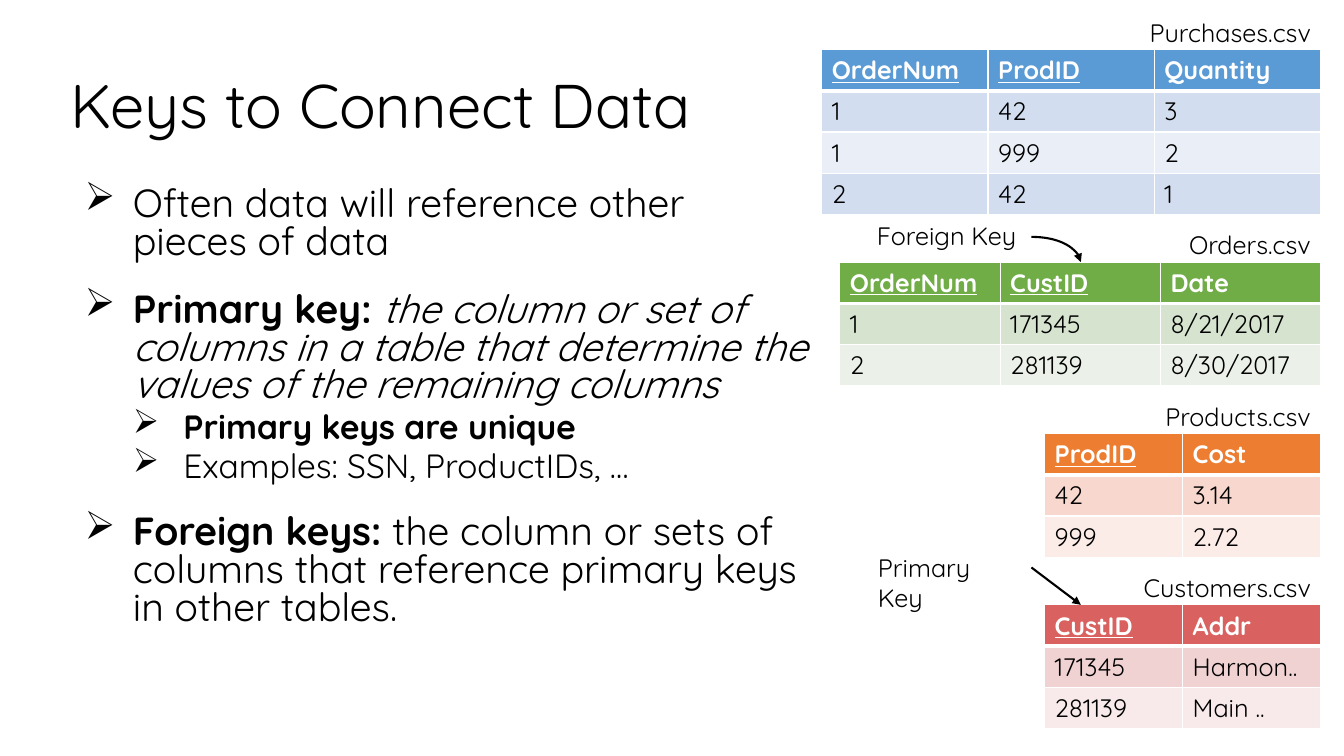
from dataclasses import dataclass

from lxml.etree import SubElement
from pptx import Presentation
from pptx.dml.color import RGBColor
from pptx.enum.shapes import MSO_CONNECTOR as CONN
from pptx.enum.text import MSO_ANCHOR as ANCHOR, PP_ALIGN as ALIGN
from pptx.oxml import parse_xml
from pptx.oxml.ns import nsdecls, qn
from pptx.util import Inches, Pt


@dataclass(frozen=True)
class Theme:
    font: str = "Quicksand"
    ink: str = "000000"
    paper: str = "FFFFFF"
    # header, odd row, even row
    blue: tuple = ("5B9BD5", "D2DEEF", "EAEFF7")
    green: tuple = ("70AD47", "D5E3CF", "EBF1E9")
    orange: tuple = ("ED7D31", "F8D7CE", "FCECE8")
    red: tuple = ("D9615F", "F1D2D2", "F8EAEA")
    title: int = 44
    body: int = 28
    sub: int = 24
    small: int = 18


THEME = Theme()
RIGHT_EDGE = 13.1
ROW_HEIGHT = 0.41
LABEL_WIDTH = 2.2


def add_run(p, text, size=THEME.small, color=THEME.ink, bold=False,
            italic=False, underline=False):
    r = p.add_run()
    r.text = text
    f = r.font
    f.name, f.size = THEME.font, Pt(size)
    f.bold, f.italic, f.underline = bold, italic, underline
    f.color.rgb = RGBColor.from_string(color)


def add_box(s, left, top, width, height=0.4):
    tf = s.shapes.add_textbox(Inches(left), Inches(top), Inches(width),
                              Inches(height)).text_frame
    tf.word_wrap = True
    return tf


def add_label(s, text, left, top, width, align=ALIGN.LEFT):
    p = add_box(s, left, top, width).paragraphs[0]
    p.alignment = align
    add_run(p, text)


def add_title(s, text):
    sp = s.shapes.title
    sp.left, sp.top = Inches(0.6), Inches(0.35)
    sp.width, sp.height = Inches(11.81), Inches(1.45)
    tf = sp.text_frame
    tf.vertical_anchor = ANCHOR.MIDDLE
    p = tf.paragraphs[0]
    p.alignment, p.line_spacing = ALIGN.LEFT, 0.9
    add_run(p, text, size=THEME.title)


def set_bullet(p, margin, indent):
    pPr = p._p.get_or_add_pPr()
    pPr.set("marL", str(Inches(margin)))
    pPr.set("indent", str(Inches(indent)))
    color = SubElement(pPr, qn("a:buClr"))
    SubElement(color, qn("a:srgbClr")).set("val", THEME.ink)
    SubElement(pPr, qn("a:buChar")).set("char", "➢")


def add_bullets(s, items):
    """Each item is a level and a list of (text, run format) pairs."""
    tf = add_box(s, 0.72, 1.81, 7.4, 5.09)
    for i, (level, runs) in enumerate(items):
        p = tf.add_paragraph() if i else tf.paragraphs[0]
        p.level, p.line_spacing = level, 0.8
        if i:
            p.space_before = Pt(5 if level else 22)
        set_bullet(p, *((1, -0.5) if level else (0.5, -0.48)))
        for text, style in runs:
            add_run(p, text, size=THEME.sub if level else THEME.body, **style)


def set_borders(cell, **widths):
    tcPr = cell._tc.get_or_add_tcPr()
    for i, side in enumerate("LRTB"):
        width = Pt(widths.get(side, 1))
        tcPr.insert(i, parse_xml(
            f'<a:ln{side} {nsdecls("a")} w="{width}"><a:solidFill>'
            f'<a:srgbClr val="{THEME.paper}"/></a:solidFill></a:ln{side}>'))


def add_data_table(s, name, top, col_width, colors, keys, rows):
    """Table flush with the right edge, its file name above it."""
    cols = len(rows[0])
    width = cols * col_width
    table = s.shapes.add_table(
        len(rows), cols, Inches(RIGHT_EDGE - width), Inches(top),
        Inches(width), Inches(ROW_HEIGHT * len(rows))).table
    for i, row in enumerate(rows):
        fill = colors[2 - i % 2] if i else colors[0]
        for j, text in enumerate(row):
            cell = table.cell(i, j)
            cell.fill.solid()
            cell.fill.fore_color.rgb = RGBColor.from_string(fill)
            set_borders(cell, B=1 if i else 3, T=3 if i == 1 else 1)
            add_run(cell.text_frame.paragraphs[0], text, bold=i == 0,
                    color=THEME.ink if i else THEME.paper,
                    underline=i == 0 and text in keys)
    add_label(s, name, RIGHT_EDGE - LABEL_WIDTH, top - 0.37, LABEL_WIDTH,
              ALIGN.RIGHT)


def add_arrow(s, start, end, curved=False):
    kind = CONN.CURVE if curved else CONN.STRAIGHT
    c = s.shapes.add_connector(kind, *map(Inches, start + end))
    c.line.color.rgb = RGBColor.from_string(THEME.ink)
    c.line.width = Pt(1.5)
    spPr = c._element.spPr
    if curved:  # a single quarter bend
        spPr.find(qn("a:prstGeom")).set("prst", "curvedConnector2")
    SubElement(c.line._get_or_add_ln(), qn("a:tailEnd")).set("type", "triangle")
    SubElement(spPr, qn("a:effectLst"))


def main():
    prs = Presentation()
    prs.slide_width, prs.slide_height = Inches(13.33), Inches(7.5)
    s = prs.slides.add_slide(prs.slide_layouts[5])

    # Title and explanation
    add_title(s, "Keys to Connect Data")
    bold, italic = {"bold": True}, {"italic": True}
    add_bullets(s, [
        (0, [("Often data will reference other pieces of data", {})]),
        (0, [("Primary key: ", bold),
             ("the column or set of columns in a table that determine "
              "the values of the remaining columns", italic)]),
        (1, [("Primary keys are unique", bold)]),
        (1, [("Examples: SSN, ProductIDs, …", {})]),
        (0, [("Foreign keys:", bold),
             (" the column or sets of columns that reference primary keys "
              "in other tables.", {})]),
    ])

    # Data tables
    add_data_table(s, "Purchases.csv", 0.49, 1.65, THEME.blue,
                   ("OrderNum", "ProdID"),
                   [("OrderNum", "ProdID", "Quantity"), ("1", "42", "3"),
                    ("1", "999", "2"), ("2", "42", "1")])
    add_data_table(s, "Orders.csv", 2.6, 1.59, THEME.green,
                   ("OrderNum", "CustID"),
                   [("OrderNum", "CustID", "Date"),
                    ("1", "171345", "8/21/2017"),
                    ("2", "281139", "8/30/2017")])
    add_data_table(s, "Products.csv", 4.3, 1.37, THEME.orange, ("ProdID",),
                   [("ProdID", "Cost"), ("42", "3.14"), ("999", "2.72")])
    add_data_table(s, "Customers.csv", 6, 1.37, THEME.red, ("CustID",),
                   [("CustID", "Addr"), ("171345", "Harmon.."),
                    ("281139", "Main ..")])

    # Key callouts
    add_label(s, "Foreign Key", 8.6, 2.14, 1.7)
    add_arrow(s, (10.23, 2.35), (10.72, 2.6), curved=True)
    add_label(s, "Primary Key", 8.61, 5.43, 1.4)
    add_arrow(s, (10.23, 5.63), (10.72, 6))

    prs.save("out.pptx")


if __name__ == "__main__":
    main()
